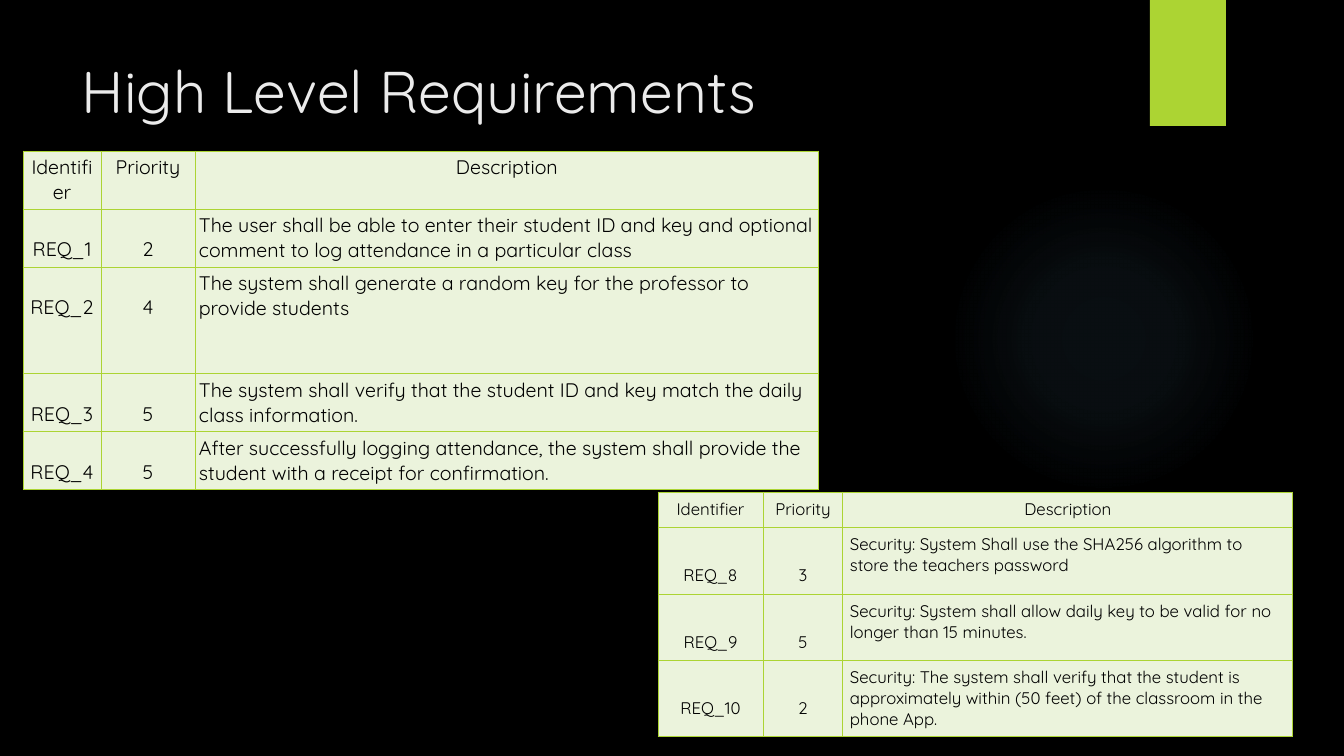
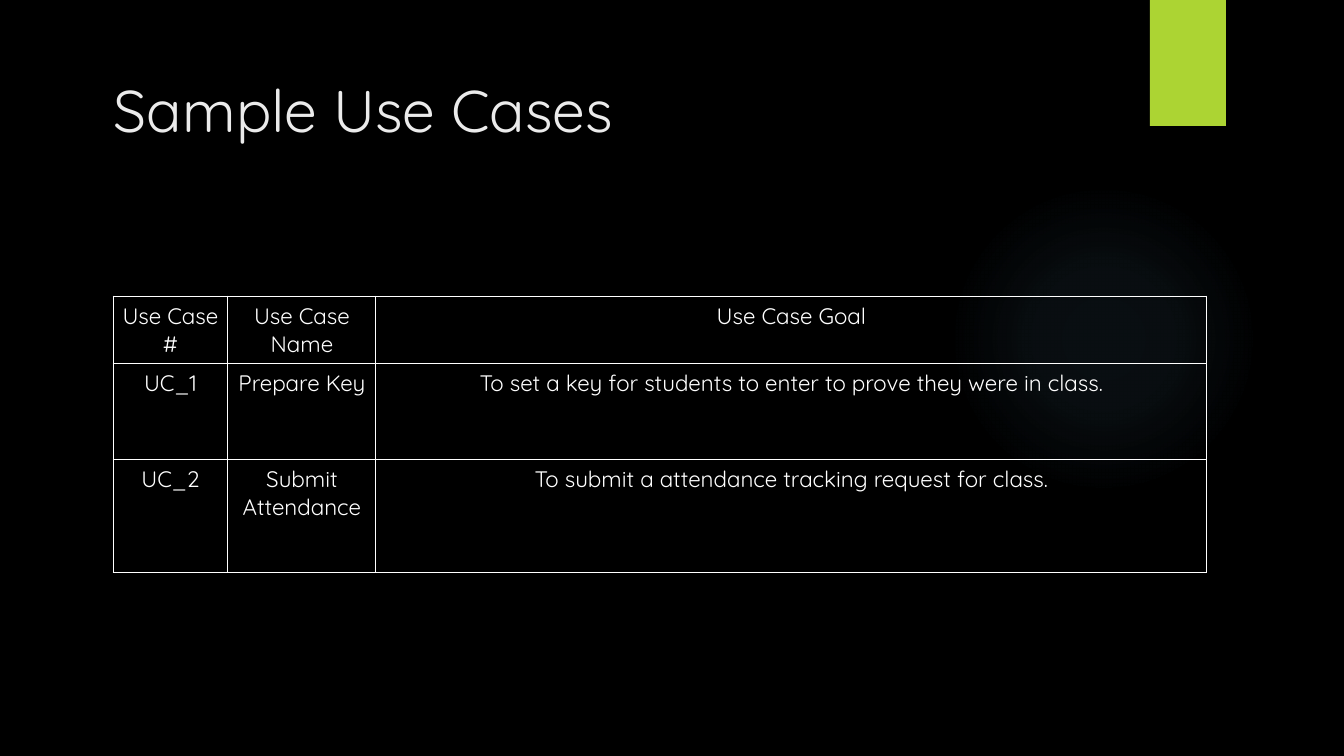
from pptx import Presentation, oxml
from pptx import util as u
from pptx.dml.color import RGBColor
from pptx.enum import shapes, text
from pptx.oxml import ns

PX = u.Inches(1) / 100.8
FONT = "Quicksand"
COLORS = {
    "background": "000000",
    "title": "EBEBEB",
    "accent": "ACD433",
    "glow": "7AC4F0",
    "pale": "EBF3DC",
    "dark": "000000",
    "light": "FFFFFF",
}
GLOW_STOPS = [(0, 7), (36, 6), (69, 0)]  # position and opacity, in percent
LEFT, CENTER = text.PP_ALIGN.LEFT, text.PP_ALIGN.CENTER

SLIDES = [
    {
        "title": "High Level Requirements",
        "title_at": (72, 50),
        "tables": [
            {
                "at": (658, 492),
                "columns": [105, 80, 450],
                "rows": [35, 67, 66, 77],
                "size": 12, "padding": 7, "drop": 31,
                "color": "dark", "fill": "pale", "border": "accent", "line": 0.75,
                "last_align": LEFT,
                "cells": [
                    ("Identifier", "Priority", "Description"),
                    ("REQ_8", "3", "Security: System Shall use the SHA256 algorithm to store the teachers password"),
                    ("REQ_9", "5", "Security: System shall allow daily key to be valid for no longer than 15 minutes."),
                    ("REQ_10", "2", "Security: The system shall verify that the student is approximately within "
                                    "(50 feet) of the classroom in the phone App."),
                ],
            },
            {
                "at": (23, 151),
                "columns": [78, 94, 624],
                "rows": [58, 58, 107, 58, 58],
                "size": 14, "padding": 4, "drop": 24,
                "color": "dark", "fill": "pale", "border": "accent", "line": 0.75,
                "last_align": LEFT,
                "cells": [
                    ("Identifier", "Priority", "Description"),
                    ("REQ_1", "2", "The user shall be able to enter their student ID and key and optional "
                                   "comment to log attendance in a particular class"),
                    ("REQ_2", "4", "The system shall generate a random key for the professor to provide students"),
                    ("REQ_3", "5", "The system shall verify that the student ID and key match the daily class "
                                   "information."),
                    ("REQ_4", "5", "After successfully logging attendance, the system shall provide the student "
                                   "with a receipt for confirmation."),
                ],
            },
        ],
    },
    {
        "title": "Sample Use Cases",
        "title_at": (104, 69),
        "tables": [
            {
                "at": (113, 296),
                "columns": [115, 148, 831],
                "rows": [67, 96, 113],
                "size": 16, "padding": 6, "drop": 0,
                "color": "light", "fill": None, "border": "light", "line": 0.75,
                "last_align": CENTER,
                "cells": [
                    ("Use Case #", "Use Case Name", "Use Case Goal"),
                    ("UC_1", "Prepare Key", "To set a key for students to enter to prove they were in class."),
                    ("UC_2", "Submit Attendance", "To submit a attendance tracking request for class."),
                ],
            },
        ],
    },
]


def px(*lengths):
    return [u.Emu(round(length * PX)) for length in lengths]


def write(frame, content, size, color, align=LEFT):
    frame.word_wrap = True
    paragraph = frame.paragraphs[0]
    paragraph.alignment = align
    run = paragraph.add_run()
    run.text = content
    run.font.name = FONT
    run.font.size = u.Pt(size)
    run.font.color.rgb = RGBColor.from_string(COLORS[color])


presentation = Presentation()
presentation.slide_width, presentation.slide_height = px(1344, 756)

for content in SLIDES:
    slide = presentation.slides.add_slide(presentation.slide_layouts[6])
    slide.background.fill.solid()
    slide.background.fill.fore_color.rgb = RGBColor.from_string(COLORS["background"])

    glow = slide.shapes.add_shape(shapes.MSO_SHAPE.OVAL, *px(949, 184, 310, 310))
    glow.shadow.inherit = False
    glow.line.fill.background()
    stops = "".join(
        f'<a:gs pos="{position * 1000}"><a:srgbClr val="{COLORS["glow"]}">'
        f'<a:alpha val="{opacity * 1000}"/></a:srgbClr></a:gs>'
        for position, opacity in GLOW_STOPS
    )
    gradient = oxml.parse_xml(
        f'<a:gradFill {ns.nsdecls("a")} rotWithShape="1"><a:gsLst>{stops}</a:gsLst><a:path path="circle">'
        '<a:fillToRect l="50000" t="50000" r="50000" b="50000"/></a:path></a:gradFill>'
    )
    glow.element.spPr.find(ns.qn("a:prstGeom")).addnext(gradient)

    tab = slide.shapes.add_shape(shapes.MSO_SHAPE.RECTANGLE, *px(1150, 0, 76, 126))
    tab.shadow.inherit = False
    tab.line.fill.background()
    tab.fill.solid()
    tab.fill.fore_color.rgb = RGBColor.from_string(COLORS["accent"])

    title = slide.shapes.add_textbox(*px(*content["title_at"], 1037, 154))
    write(title.text_frame, content["title"], size=42, color="title")

    for design in content["tables"]:
        columns, rows = design["columns"], design["rows"]
        table = slide.shapes.add_table(
            len(rows), len(columns), *px(*design["at"], sum(columns), sum(rows))
        ).table
        table.first_row = table.horz_banding = False
        for column, width in zip(table.columns, px(*columns)):
            column.width = width
        for row, height in zip(table.rows, px(*rows)):
            row.height = height

        padding = design["padding"]
        for row_index, row_texts in enumerate(design["cells"]):
            for column_index, cell_text in enumerate(row_texts):
                is_last = column_index == len(columns) - 1
                is_header = row_index == 0
                drop = 0 if is_header or is_last else design["drop"]
                cell = table.cell(row_index, column_index)
                cell.margin_left, cell.margin_right, cell.margin_top, cell.margin_bottom = px(
                    padding, padding, padding + drop, padding
                )
                align = design["last_align"] if is_last and not is_header else CENTER
                write(cell.text_frame, cell_text, size=design["size"], color=design["color"], align=align)

                properties = cell._tc.get_or_add_tcPr()
                for side in "LRTB":
                    properties.append(oxml.parse_xml(
                        f'<a:ln{side} {ns.nsdecls("a")} w="{u.Pt(design["line"])}"><a:solidFill>'
                        f'<a:srgbClr val="{COLORS[design["border"]]}"/></a:solidFill></a:ln{side}>'
                    ))
                if design["fill"]:
                    cell.fill.solid()
                    cell.fill.fore_color.rgb = RGBColor.from_string(COLORS[design["fill"]])
                else:
                    cell.fill.background()

presentation.save("out.pptx")
